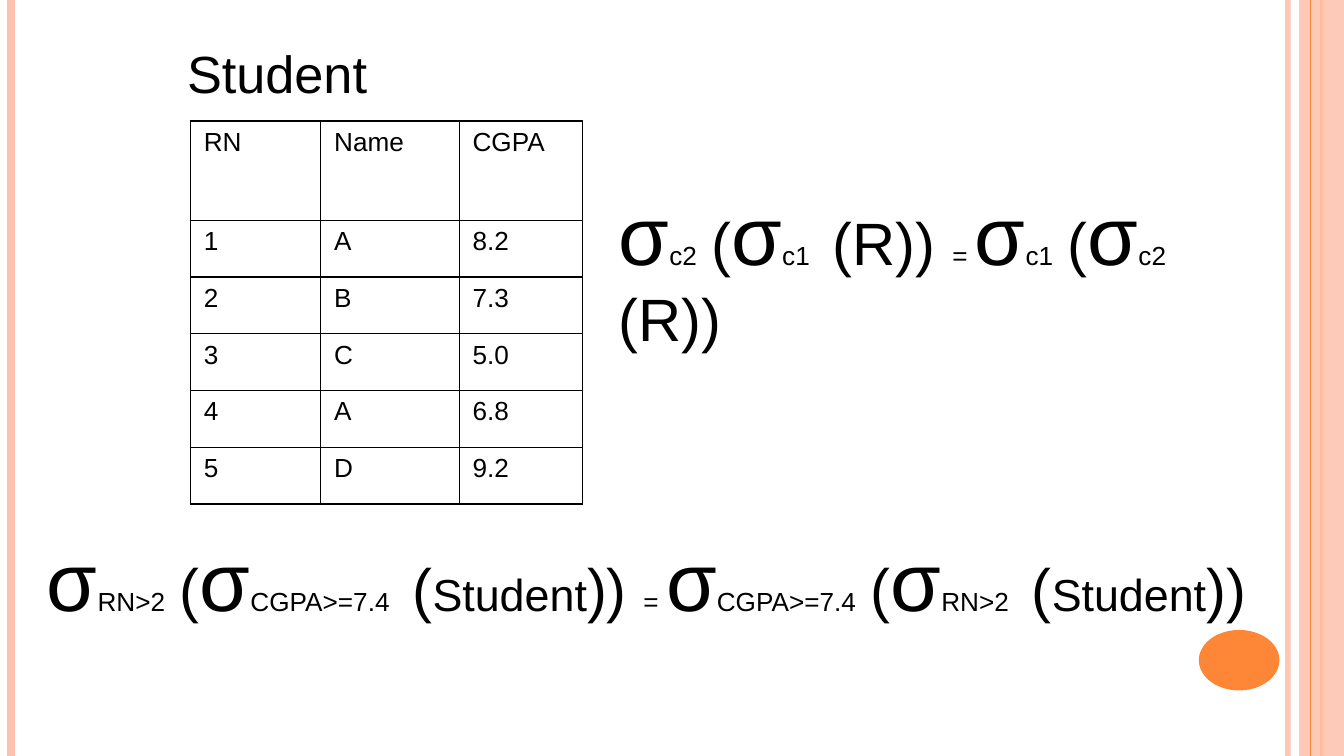
from lxml.etree import SubElement
from pptx import Presentation
from pptx.dml.color import RGBColor
from pptx.enum.shapes import MSO_CONNECTOR as Connector, MSO_SHAPE as Shape
from pptx.enum.text import MSO_ANCHOR as Anchor, PP_ALIGN as Align
from pptx.oxml.ns import qn
from pptx.util import Inches, Pt

BLACK = RGBColor(0x00, 0x00, 0x00)
PEACH = RGBColor(0xFE, 0xC3, 0xAE)
ORANGE = RGBColor(0xFE, 0x86, 0x37)
FONT = "Arial"
SLIDE_WIDTH = Inches(10)
SLIDE_HEIGHT = SLIDE_WIDTH * 9 // 16
SIGMA_SIZE, PAREN_SIZE, GAP_SIZE, CONDITION_SIZE = 44, 32, 28, 14
STUDENTS = [
    ("RN", "Name", "CGPA"),
    ("1", "A", "8.2"),
    ("2", "B", "7.3"),
    ("3", "C", "5.0"),
    ("4", "A", "6.8"),
    ("5", "D", "9.2"),
]


def across(percent):
    """Return a share of the slide's width."""
    return round(SLIDE_WIDTH * percent / 100)


def down(percent):
    """Return a share of the slide's height."""
    return round(SLIDE_HEIGHT * percent / 100)


def area(left, top, width, height):
    """Return a position and size given as percentages of the slide."""
    return across(left), down(top), across(width), down(height)


def style_font(font, size):
    """Apply the slide's typeface and text colour at a size."""
    font.name, font.size = FONT, Pt(size)
    font.color.rgb = BLACK


def set_alpha(color_format, percent):
    """Make a solid fill partly transparent."""
    color = color_format._xPr.find(qn("a:solidFill"))[0]
    SubElement(color, qn("a:alpha"), val=str(percent * 1000))


def add_rule(slide, x, color, weight, alpha=100):
    """Draw a vertical rule over the full slide height."""
    rule = slide.shapes.add_connector(
        Connector.STRAIGHT, across(x), 0, across(x), SLIDE_HEIGHT)
    rule.line.color.rgb = color
    rule.line.width = Pt(weight)
    SubElement(rule._element.spPr, qn("a:effectLst"))
    if alpha < 100:
        set_alpha(rule.line.fill, alpha)


def add_panel(slide, preset, place, color, alpha=100):
    """Draw a filled shape without an outline."""
    panel = slide.shapes.add_shape(preset, *place)
    panel.shadow.inherit = False
    panel.fill.solid()
    panel.fill.fore_color.rgb = color
    panel.line.fill.background()
    if alpha < 100:
        set_alpha(panel.fill, alpha)


def add_frame(slide):
    """Draw the decorative rules, band and disc at the slide's edges."""
    add_rule(slide, 95.83, PEACH, 3, 93)
    add_rule(slide, 0.83, PEACH, 4.5)
    add_rule(slide, 98.33, ORANGE, 1.5)
    add_panel(slide, Shape.RECTANGLE, area(96.67, 0, 3.33, 100), PEACH, 87)
    add_rule(slide, 97.5, ORANGE, 0.75)
    add_panel(slide, Shape.OVAL, area(89.2, 83.33, 6, 8), ORANGE)


def set_title(slide, text, place):
    """Fill and place the title placeholder."""
    title = slide.shapes.title
    title.left, title.top, title.width, title.height = place
    title.text_frame.text = text
    title.text_frame.vertical_anchor = Anchor.TOP
    heading = title.text_frame.paragraphs[0]
    heading.alignment = Align.LEFT
    style_font(heading.runs[0].font, 28)


def add_borders(cell):
    """Outline a table cell with thin black lines."""
    properties = cell._tc.get_or_add_tcPr()
    for index, side in enumerate(("a:lnL", "a:lnR", "a:lnT", "a:lnB")):
        border = properties.makeelement(qn(side), {"w": str(Pt(0.75))})
        properties.insert(index, border)
        fill = SubElement(border, qn("a:solidFill"))
        SubElement(fill, qn("a:srgbClr"), val=str(BLACK))


def add_relation(slide, records, place, column_shares, row_shares):
    """Add a plain bordered table holding a relation."""
    relation = slide.shapes.add_table(
        len(records), len(records[0]), *place).table
    relation.first_row = relation.horz_banding = False
    for column, share in zip(relation.columns, column_shares):
        column.width = across(share)
    for row, share, record in zip(relation.rows, row_shares, records):
        row.height = down(share)
        for cell, value in zip(row.cells, record):
            cell.text_frame.text = value
            style_font(cell.text_frame.paragraphs[0].runs[0].font, 14)
            cell.fill.background()
            add_borders(cell)


def nested_selection(outer, inner, relation, relation_size):
    """Return the sized pieces of one selection inside another."""
    return [
        ("σ", SIGMA_SIZE), (outer, CONDITION_SIZE), (" ", GAP_SIZE),
        ("(", PAREN_SIZE), ("σ", SIGMA_SIZE), (inner, CONDITION_SIZE),
        (" ", SIGMA_SIZE), ("(", PAREN_SIZE), (relation, relation_size),
        ("))", PAREN_SIZE),
    ]


def add_commutation(slide, place, first, second, relation, relation_size):
    """Write that two nested selections may change places."""
    box = slide.shapes.add_textbox(*place)
    box.text_frame.word_wrap = True
    equation = box.text_frame.paragraphs[0]
    pieces = (nested_selection(first, second, relation, relation_size)
              + [(" ", PAREN_SIZE), ("= ", CONDITION_SIZE)]
              + nested_selection(second, first, relation, relation_size))
    for text, size in pieces:
        run = equation.add_run()
        run.text = text
        style_font(run.font, size)


def main():
    """Build the slide and save it."""
    deck = Presentation()
    deck.slide_width, deck.slide_height = SLIDE_WIDTH, SLIDE_HEIGHT
    slide = deck.slides.add_slide(deck.slide_layouts[5])
    add_frame(slide)
    set_title(slide, "Student", area(12.92, 4.5, 21.7, 10.1))
    add_relation(slide, STUDENTS, area(14.17, 16, 29.2, 50.7),
                 (9.7, 10.3, 9.2), [13.15] + [7.51] * 5)
    add_commutation(slide, area(45.05, 23.33, 51.7, 15), "c2", "c1", "R", 32)
    add_commutation(slide, area(2.5, 69.17, 94.2, 15),
                    "RN>2", "CGPA>=7.4", "Student", 24)
    deck.save("out.pptx")


if __name__ == "__main__":
    main()
